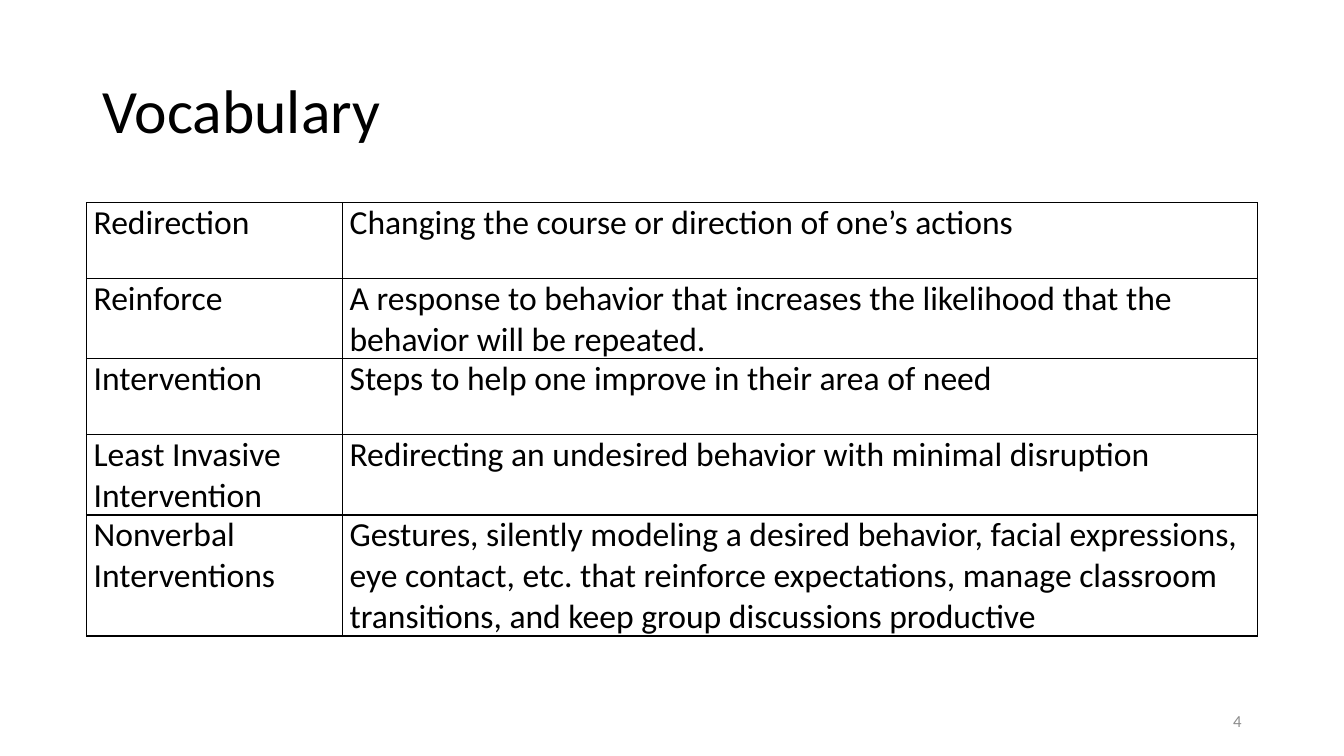
from lxml.etree import SubElement as Sub
from pptx import Presentation
from pptx.dml.color import RGBColor as Rgb
from pptx.enum.text import MSO_ANCHOR as Anchor, PP_ALIGN as Align
from pptx.oxml.ns import qn
from pptx.util import Cm, Pt

HUES = {"ink": "000000", "gray": "8C8C8C"}
FONT = "Calibri"
TERMS = [
    ("Redirection", "Changing the course or direction of one’s actions"),
    ("Reinforce", "A response to behavior that increases the likelihood that the behavior will be repeated."),
    ("Intervention", "Steps to help one improve in their area of need"),
    ("Least Invasive Intervention", "Redirecting an undesired behavior with minimal disruption"),
    ("Nonverbal Interventions", "Gestures, silently modeling a desired behavior, facial expressions, "
     "eye contact, etc. that reinforce expectations, manage classroom transitions, "
     "and keep group discussions productive"),
]
LABELS = [
    ("Vocabulary", (2.33, 1.01, 29.21, 3.68), 44, "ink", {"alignment": Align.LEFT, "line_spacing": 0.9}),
    ("4", (23.92, 17.65, 7.62, 1.01), 12, "gray", {"alignment": Align.RIGHT}),
]
SPOT = (2.18, 5.11)
WIDTHS = [6.45, 23.06]
HEIGHTS = [1.9] * 4 + [2.39]
INSETS = {"margin_left": Cm(0.18), "margin_right": Cm(0.18), "margin_top": 0,
          "margin_bottom": 0, "vertical_anchor": Anchor.TOP}


def assign(item, vals):
    for key, val in vals.items():
        setattr(item, key, val)


def write(frame, text, size, hue, form):
    frame.word_wrap = True
    para = frame.paragraphs[0]
    assign(para, form)
    run = para.add_run()
    run.text = text
    assign(run.font, {"name": FONT, "size": Pt(size)})
    run.font.color.rgb = Rgb.from_string(HUES[hue])


def border(cell):
    props = cell._tc.get_or_add_tcPr()
    for side in ("lnL", "lnR", "lnT", "lnB"):
        line = Sub(props, qn(f"a:{side}"), w=str(Pt(1)))
        fill = Sub(line, qn("a:solidFill"))
        Sub(fill, qn("a:srgbClr"), val=HUES["ink"])


def main():
    deck = Presentation()
    assign(deck, {"slide_width": Cm(33.87), "slide_height": Cm(19.05)})
    slide = deck.slides.add_slide(deck.slide_layouts[6])

    for text, area, size, hue, form in LABELS:
        frame = slide.shapes.add_textbox(*map(Cm, area)).text_frame
        frame.vertical_anchor = Anchor.MIDDLE
        write(frame, text, size, hue, form)

    area = map(Cm, (*SPOT, sum(WIDTHS), sum(HEIGHTS)))
    table = slide.shapes.add_table(len(TERMS), len(WIDTHS), *area).table
    assign(table, {"first_row": False, "horz_banding": False})
    for col, width in zip(table.columns, WIDTHS):
        col.width = Cm(width)
    for row, height, texts in zip(table.rows, HEIGHTS, TERMS):
        row.height = Cm(height)
        for cell, text in zip(row.cells, texts):
            assign(cell, INSETS)
            border(cell)
            cell.fill.background()
            write(cell.text_frame, text, 24, "ink", {"alignment": Align.LEFT})

    deck.save("out.pptx")


if __name__ == "__main__":
    main()
